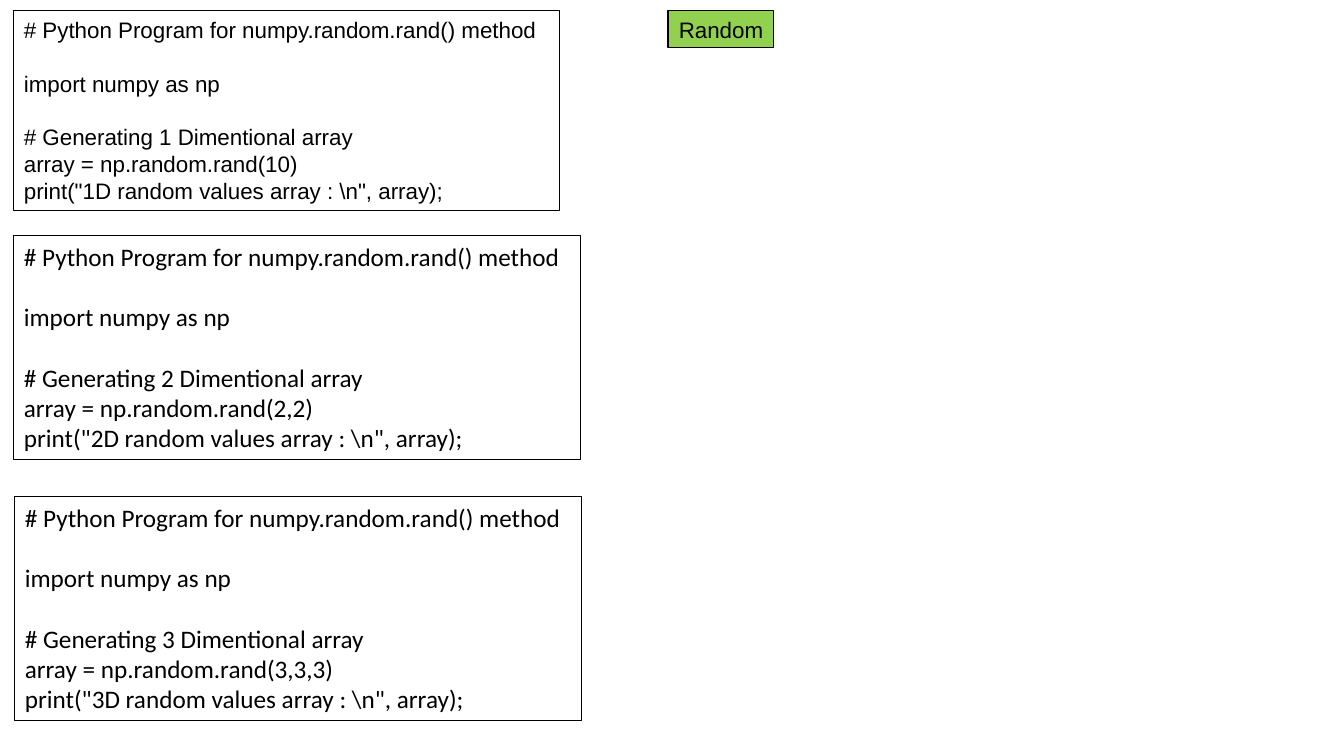
from dataclasses import dataclass

from pptx import Presentation
from pptx.dml.color import RGBColor
from pptx.enum.text import MSO_ANCHOR, PP_ALIGN
from pptx.util import Pt

TOP = MSO_ANCHOR.TOP
MIDDLE = MSO_ANCHOR.MIDDLE
LEFT = PP_ALIGN.LEFT
CENTER = PP_ALIGN.CENTER
EMU_PER_PIXEL = 914400 / 100.8
BLANK_LAYOUT = 6


@dataclass(frozen=True)
class TextStyle:
    """Font, size and line pitch of a block of text."""
    font: str
    size: float
    pitch: float


@dataclass(frozen=True)
class Theme:
    """Colours and text styles of the slide."""
    ink: RGBColor = RGBColor(0x00, 0x00, 0x00)
    badge: RGBColor = RGBColor(0x92, 0xD0, 0x50)
    outline: float = 0.75
    arial: TextStyle = TextStyle("Arial", 16, 19.2)
    calibri: TextStyle = TextStyle("Calibri", 18, 21.6)


THEME = Theme()


def emu(pixels):
    """Turn pixels into EMU."""
    return round(pixels * EMU_PER_PIXEL)


def add_outlined_box(page, box, text, style, align, anchor):
    """Add a black-bordered text box and return it."""
    shape = page.shapes.add_textbox(*map(emu, box))
    shape.line.color.rgb = THEME.ink
    shape.line.width = Pt(THEME.outline)
    frame = shape.text_frame
    frame.word_wrap = True
    frame.vertical_anchor = anchor
    frame.text = text
    for para in frame.paragraphs:
        para.alignment = align
        para.line_spacing = Pt(style.pitch)
        for span in para.runs:
            span.font.name = style.font
            span.font.size = Pt(style.size)
            span.font.color.rgb = THEME.ink
    return shape


def add_program(page, box, dimensions, arguments, style):
    """Add one random-array program, with a line of space between its sections."""
    sections = [
        ["# Python Program for numpy.random.rand() method"],
        ["import numpy as np"],
        [f"# Generating {dimensions} Dimentional array",
         f"array = np.random.rand({arguments})",
         f'print("{dimensions}D random values array : \\n", array);'],
    ]
    text = "\n".join(line for section in sections for line in section)
    shape = add_outlined_box(page, box, text, style, LEFT, TOP)
    paragraphs = shape.text_frame.paragraphs
    start = 0
    for section in sections[:-1]:
        start += len(section)
        paragraphs[start].space_before = Pt(style.pitch)


def add_badge(page, box):
    """Add the green topic label."""
    shape = add_outlined_box(page, box, "Random", THEME.arial, CENTER, MIDDLE)
    shape.fill.solid()
    shape.fill.fore_color.rgb = THEME.badge


def build_deck():
    """Build and save the one-slide deck."""
    deck = Presentation()
    deck.slide_width, deck.slide_height = emu(1344), emu(756)
    page = deck.slides.add_slide(deck.slide_layouts[BLANK_LAYOUT])
    programs = [
        ((14, 11, 546, 200), "10", THEME.arial),
        ((14, 236, 567, 224), "2,2", THEME.calibri),
        ((15, 497, 567, 224), "3,3,3", THEME.calibri),
    ]
    for dimensions, (box, arguments, style) in enumerate(programs, start=1):
        add_program(page, box, dimensions, arguments, style)
    add_badge(page, (668, 11, 106, 37))
    deck.save("out.pptx")


build_deck()
